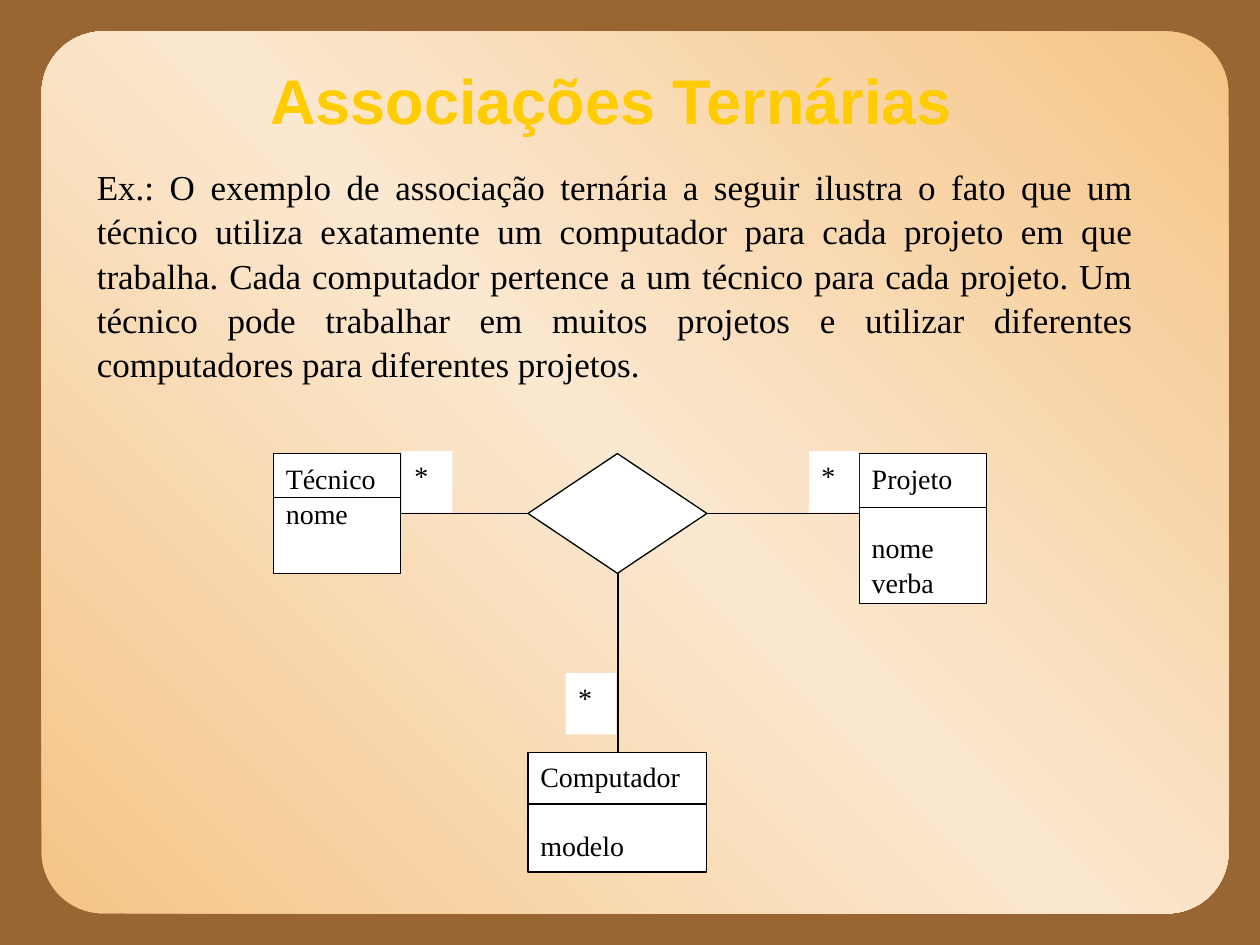
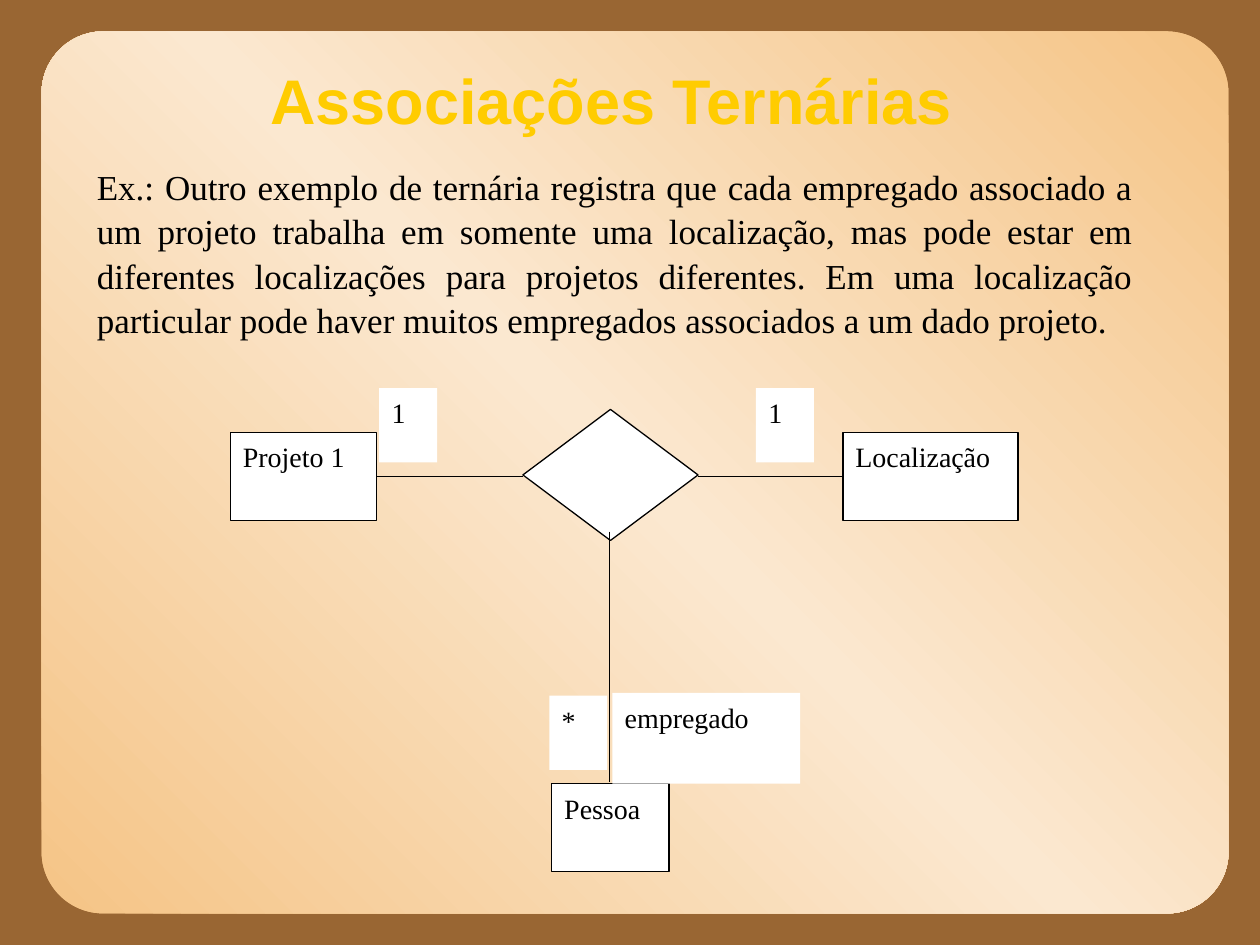
"""Build two slides on ternary associations, each with a class diagram."""
from copy import deepcopy
from pptx import Presentation
from pptx.dml.color import RGBColor
from pptx.enum.shapes import MSO_CONNECTOR, MSO_SHAPE
from pptx.enum.text import MSO_ANCHOR, PP_ALIGN
from pptx.oxml.ns import qn
from pptx.util import Inches, Pt

hue = RGBColor.from_string
BROWN, GOLD, BLACK, WHITE = "996633", "FFCC00", "000000", "FFFFFF"
SAND, CREAM = "F5C486", "FBE8D0"
SERIF, SANS = "Times New Roman", "Arial"
LEAD = 1.05

deck = Presentation()
deck.slide_width, deck.slide_height = Inches(10), Inches(7.5)
COL, ROW = deck.slide_width / 100, deck.slide_height / 100


def place(x, y, w, h):
    """Turn shares of the slide, in percent, into lengths."""
    return int(x * COL), int(y * ROW), int(w * COL), int(h * ROW)


def put(slide, kind, area, lines=(), edge=True):
    """Add a white shape with lines of text; a gap follows the first of a spaced list."""
    shape = slide.shapes.add_shape(kind, *place(*area))
    shape.shadow.inherit = False
    shape.fill.solid()
    shape.fill.fore_color.rgb = hue(WHITE)
    if edge:
        shape.line.color.rgb = hue(BLACK)
        shape.line.width = Pt(0.75)
    else:
        shape.line.fill.background()
    frame = shape.text_frame
    frame.word_wrap = True
    frame.vertical_anchor = MSO_ANCHOR.TOP
    for i, (text, gap) in enumerate(lines):
        para = frame.add_paragraph() if i else frame.paragraphs[0]
        para.text = text
        para.alignment = PP_ALIGN.LEFT
        para.line_spacing = LEAD
        para.space_before = Pt(gap)
        para.font.name, para.font.size = SERIF, Pt(16)
        para.font.color.rgb = hue(BLACK)
    return shape


back = deck.slide_master.background.fill
back.solid()
back.fore_color.rgb = hue(BROWN)
layout = deck.slide_layouts[5]

GAP = 19.3
pages = [
    {
        "text": "Ex.: O exemplo de associação ternária a seguir ilustra o fato que um técnico "
                "utiliza exatamente um computador para cada projeto em que trabalha. Cada "
                "computador pertence a um técnico para cada projeto. Um técnico pode trabalhar "
                "em muitos projetos e utilizar diferentes computadores para diferentes projetos.",
        "deep": 23.6,
        "boxes": [((21.7, 48, 10.1, 12.67), [("Técnico", 0), ("nome", 0)]),
                  ((68.2, 48, 10.1, 15.87), [("Projeto", 0), ("nome", GAP), ("verba", 0)]),
                  ((41.9, 79.6, 14.2, 12.67), [("Computador", 0), ("modelo", GAP)])],
        "rhomb": (41.9, 48, 14.2, 12.67),
        "links": [(21.7, 52.67, 31.8, 52.67), (68.2, 53.73, 78.3, 53.73),
                  (41.9, 85.07, 56.1, 85.07), (31.8, 54.33, 41.9, 54.33),
                  (56.1, 54.33, 68.2, 54.33), (49.05, 60.67, 49.05, 79.6)],
        "tags": [((x, y, 4, 6.53), "*") for x, y in ((31.9, 47.73), (64.2, 47.73), (44.9, 71.2))],
    },
    {
        "text": "Ex.: Outro exemplo de ternária registra que cada empregado associado a um "
                "projeto trabalha em somente uma localização, mas pode estar em diferentes "
                "localizações para projetos diferentes. Em uma localização particular pode "
                "haver muitos empregados associados a um dado projeto.",
        "deep": 19.2,
        "boxes": [((18.3, 45.73, 11.6, 9.33), [("Projeto 1", 0)]),
                  ((66.9, 45.73, 13.9, 9.33), [("Localização", 0)]),
                  ((43.8, 82.93, 9.3, 9.33), [("Pessoa", 0)])],
        "rhomb": (41.5, 43.33, 13.9, 13.87),
        "links": [(29.9, 50.4, 41.5, 50.4), (55.4, 50.4, 66.9, 50.4),
                  (48.4, 56.27, 48.4, 82.8)],
        "tags": [((30.1, 41.07, 4.6, 7.87), "1"), ((60, 41.07, 4.6, 7.87), "1"),
                 ((43.6, 73.6, 4.6, 7.87), "*"), ((48.6, 73.33, 14.9, 9.6), "empregado")],
    },
]

for num, page in enumerate(pages):
    slide = deck.slides.add_slide(layout)
    if num == 0:
        panel = put(slide, MSO_SHAPE.ROUNDED_RECTANGLE, (3.3, 3.33, 94.2, 93.33), edge=False)
        panel.adjustments[0] = 0.07
        panel.fill.gradient()
        panel.fill.gradient_angle = 45
        stop = panel._element.xpath(".//a:gs")[0]
        stop.addnext(deepcopy(stop))
        for i, (stop, tone) in enumerate(zip(panel.fill.gradient_stops, (SAND, CREAM, SAND))):
            stop.position = i / 2
            stop.color.rgb = hue(tone)
        layout.shapes._spTree.insert(2, panel._element)

    title = slide.shapes.title
    title.left, title.top, title.width, title.height = place(7.5, 4.4, 85, 12.27)
    title.text = "Associações Ternárias"
    title.text_frame.margin_right = Inches(0.4)
    title.text_frame.vertical_anchor = MSO_ANCHOR.MIDDLE
    para = title.text_frame.paragraphs[0]
    para.alignment = PP_ALIGN.CENTER
    para.font.name, para.font.size, para.font.bold = SANS, Pt(36), True
    para.font.color.rgb = hue(GOLD)

    body = slide.shapes.add_textbox(*place(6.7, 16.67, 84.2, page["deep"])).text_frame
    body.word_wrap = True
    para = body.paragraphs[0]
    para.text = page["text"]
    para.alignment = PP_ALIGN.JUSTIFY
    para.line_spacing = LEAD
    para.font.name, para.font.size = SERIF, Pt(20)
    para.font.color.rgb = hue(BLACK)

    for area, lines in page["boxes"]:
        put(slide, MSO_SHAPE.RECTANGLE, area, lines)
    put(slide, MSO_SHAPE.DIAMOND, page["rhomb"])
    for ends in page["links"]:
        link = slide.shapes.add_connector(MSO_CONNECTOR.STRAIGHT, *place(*ends))
        link.line.color.rgb = hue(BLACK)
        link.line.width = Pt(0.75)
        props = link._element.spPr
        props.append(props.makeelement(qn("a:effectLst"), {}))
    for area, text in page["tags"]:
        put(slide, MSO_SHAPE.RECTANGLE, area, [(text, 0)], edge=False)

deck.save("out.pptx")
